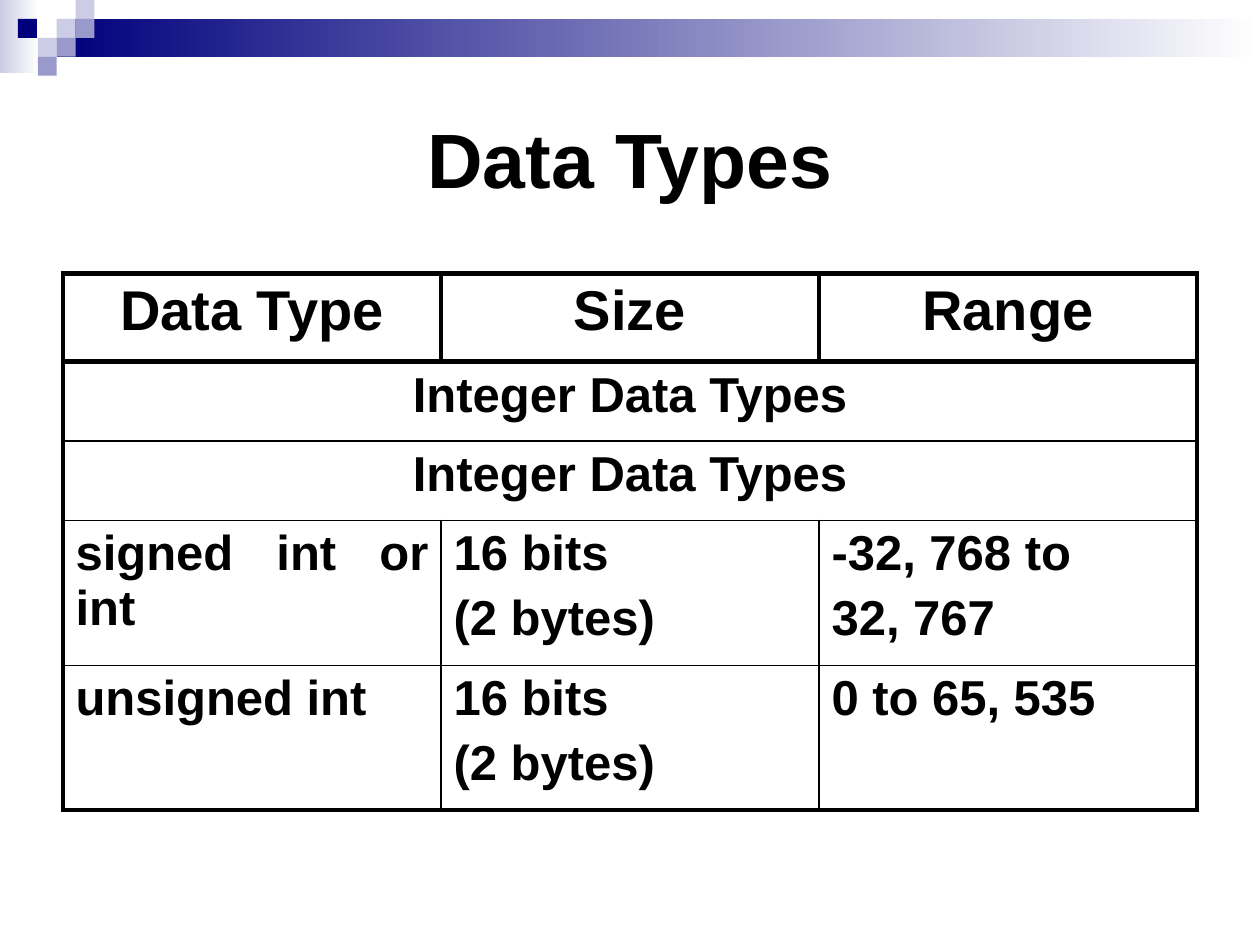
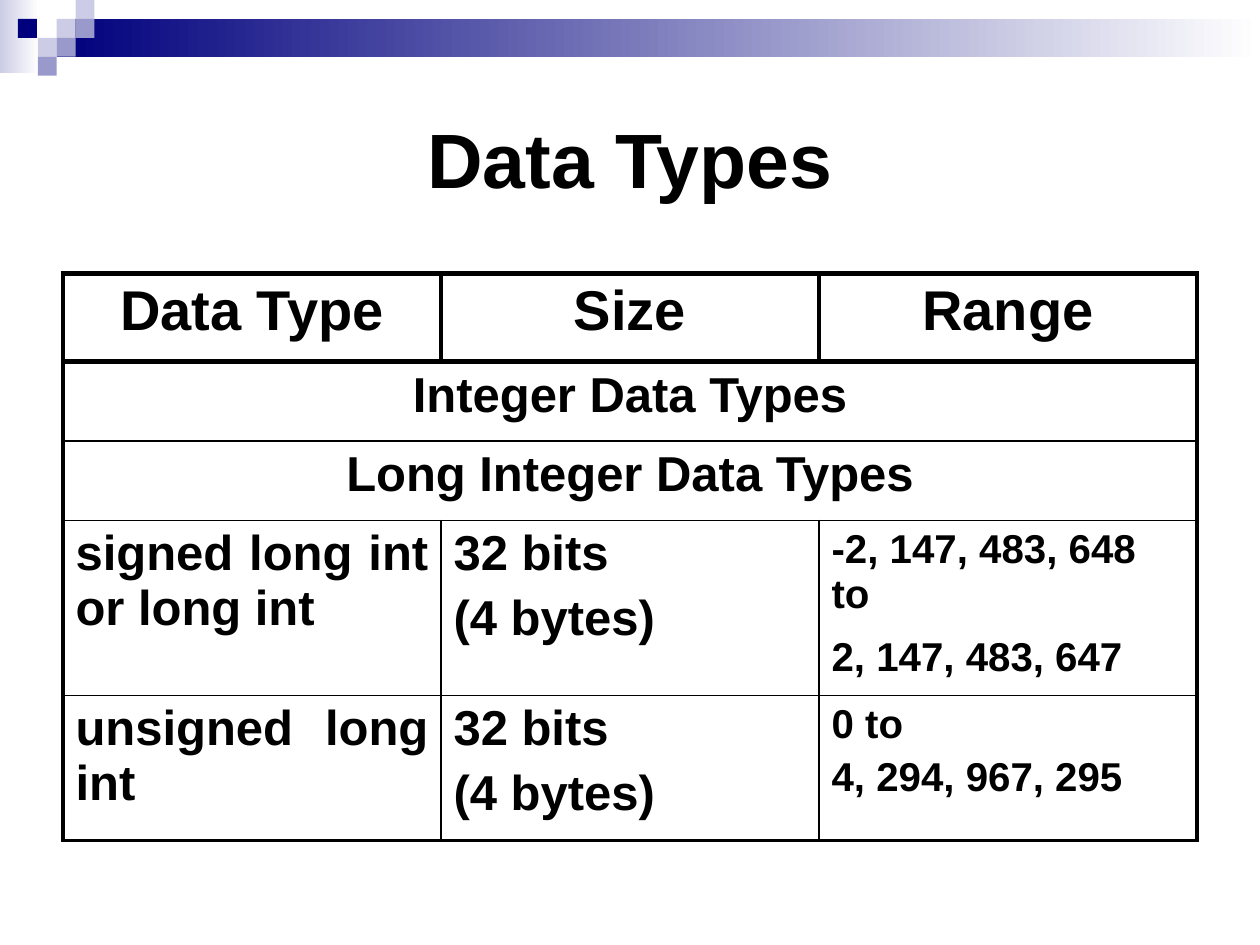
"""Build two slides that tabulate integer data types, their sizes and ranges."""
from dataclasses import dataclass

from lxml.etree import SubElement
from pptx import Presentation
from pptx.dml.color import RGBColor as Color
from pptx.enum.shapes import MSO_SHAPE as Shape
from pptx.enum.text import MSO_ANCHOR as Anchor, PP_ALIGN as Align
from pptx.oxml.ns import qn
from pptx.util import Inches, Pt


@dataclass(frozen=True)
class Theme:
    font: str = "Arial"
    ink: str = "000000"
    navy: str = "00007D"
    violet: str = "9999CC"
    lilac: str = "CCCCE6"
    white: str = "FFFFFF"
    title_size: int = 44
    header_size: int = 32
    body_size: int = 28
    small_size: int = 23
    spacing: float = 0.2
    header_line: float = 3
    outer_line: float = 2.25
    inner_line: float = 1


THEME = Theme()


def write(frame, lines, size=THEME.body_size, align=Align.JUSTIFY, spacing=0, gap=None):
    """Fill a text frame with bold lines; gap replaces the space before later lines."""
    frame.word_wrap = True
    for index, line in enumerate(lines):
        paragraph = frame.paragraphs[0] if index == 0 else frame.add_paragraph()
        paragraph.alignment = align
        before = gap if index and gap else size * spacing
        paragraph.space_before = Pt(before)
        run = paragraph.add_run()
        run.text = line
        run.font.name = THEME.font
        run.font.size = Pt(size)
        run.font.bold = True
        run.font.color.rgb = Color.from_string(THEME.ink)


class Deck:
    """Hold the presentation, its theme and the slide being built."""

    def __init__(self, theme):
        self.theme = theme
        self.presentation = Presentation()
        self.presentation.slide_width = Inches(10)
        self.presentation.slide_height = Inches(7.5)
        self.slide = None

    def start_slide(self, title):
        """Add a slide with the shared band, squares and title."""
        self.slide = self.presentation.slides.add_slide(self.presentation.slide_layouts[6])
        self.band()
        self.title(title)

    def rectangle(self, left, top, width, height, color, fade_to=None):
        """Draw a plain rectangle, solid or fading to the right."""
        shape = self.slide.shapes.add_shape(
            Shape.RECTANGLE, Inches(left), Inches(top), Inches(width), Inches(height))
        shape.shadow.inherit = False
        shape.line.fill.background()
        if fade_to:
            shape.fill.gradient()
            shape.fill.gradient_angle = 0
            for stop, value in zip(shape.fill.gradient_stops, (color, fade_to)):
                stop.color.rgb = Color.from_string(value)
        else:
            shape.fill.solid()
            shape.fill.fore_color.rgb = Color.from_string(color)

    def band(self):
        """Draw the fading bars and the mosaic of squares at the top."""
        theme, side = self.theme, 0.15
        self.rectangle(0, 0, 0.31, 0.58, theme.lilac, theme.white)
        self.rectangle(0.45, side, 9.55, 2 * side, theme.navy, theme.white)
        mosaic = [(3, 1, theme.lilac), (4, 0, theme.lilac), (4, 1, theme.violet),
                  (2, 2, theme.lilac), (0.95, 1, theme.navy), (3, 2, theme.violet),
                  (2, 3, theme.violet)]
        for column, row, color in mosaic:
            self.rectangle(column * side, row * side, side, side, color)

    def title(self, text):
        """Write the centred slide title."""
        box = self.slide.shapes.add_textbox(Inches(0.5), Inches(0.5), Inches(9), Inches(1.5))
        box.text_frame.vertical_anchor = Anchor.MIDDLE
        write(box.text_frame, [text], size=self.theme.title_size, align=Align.CENTER)

    def border(self, cell, widths):
        """Set the left, right, top and bottom lines of a cell."""
        properties = cell._tc.get_or_add_tcPr()
        for tag, width in zip(("a:lnL", "a:lnR", "a:lnT", "a:lnB"), widths):
            line = SubElement(properties, qn(tag), w=str(Pt(width)))
            fill = SubElement(line, qn("a:solidFill"))
            SubElement(fill, qn("a:srgbClr"), val=self.theme.ink)

    def cell_widths(self, row, column, last_row, is_wide):
        """Return the line widths for a cell from its place in the table."""
        theme = self.theme
        if row == 0:
            return (theme.header_line,) * 4
        left = theme.outer_line if column == 0 else theme.inner_line
        right = theme.outer_line if is_wide or column == 2 else theme.inner_line
        top = theme.header_line if row == 1 else theme.inner_line
        bottom = theme.outer_line if row == last_row else theme.inner_line
        return left, right, top, bottom

    def table(self, headings, sections, records):
        """Draw the headings, the full-width section rows and the records."""
        theme = self.theme
        centred = {"align": Align.CENTER}
        rows = [[([text], {"size": theme.header_size, **centred}) for text in headings]]
        rows += [[([text], centred)] for text in sections]
        rows += records
        heights = [0.7] + [0.63] * len(sections) + [1.15] * len(records)
        table = self.slide.shapes.add_table(
            len(rows), 3, Inches(0.5), Inches(2.17), Inches(9), Inches(sum(heights))).table
        table.first_row = table.horz_banding = False
        for column in table.columns:
            column.width = Inches(3)
        for row, (height, entries) in enumerate(zip(heights, rows)):
            table.rows[row].height = Inches(height)
            is_wide = len(entries) == 1
            if is_wide:
                table.cell(row, 0).merge(table.cell(row, 2))
            for column, (lines, style) in enumerate(entries):
                cell = table.cell(row, column)
                self.border(cell, self.cell_widths(row, column, len(rows) - 1, is_wide))
                cell.fill.background()
                write(cell.text_frame, lines, spacing=theme.spacing, **style)


HEADINGS = ["Data Type", "Size", "Range"]
SMALL = {"size": THEME.small_size}
SHORT_SIZE = (["16 bits", "(2 bytes)"], {})
LONG_SIZE = (["32 bits", "(4 bytes)"], {})

SLIDES = [
    (["Integer Data Types", "Integer Data Types"], [
        [(["signed int or int"], {}), SHORT_SIZE, (["-32, 768 to", "32, 767"], {})],
        [(["unsigned int"], {}), SHORT_SIZE, (["0 to 65, 535"], {})],
    ]),
    (["Integer Data Types", "Long Integer Data Types"], [
        [(["signed long int or long int"], {}), LONG_SIZE,
         (["-2, 147, 483, 648 to", "2, 147, 483, 647"],
          {**SMALL, "align": Align.LEFT, "gap": 10})],
        [(["unsigned long int"], {}), LONG_SIZE, (["0 to", "4, 294, 967, 295"], SMALL)],
    ]),
]

deck = Deck(THEME)
for sections, records in SLIDES:
    deck.start_slide("Data Types")
    deck.table(HEADINGS, sections, records)
deck.presentation.save("out.pptx")
